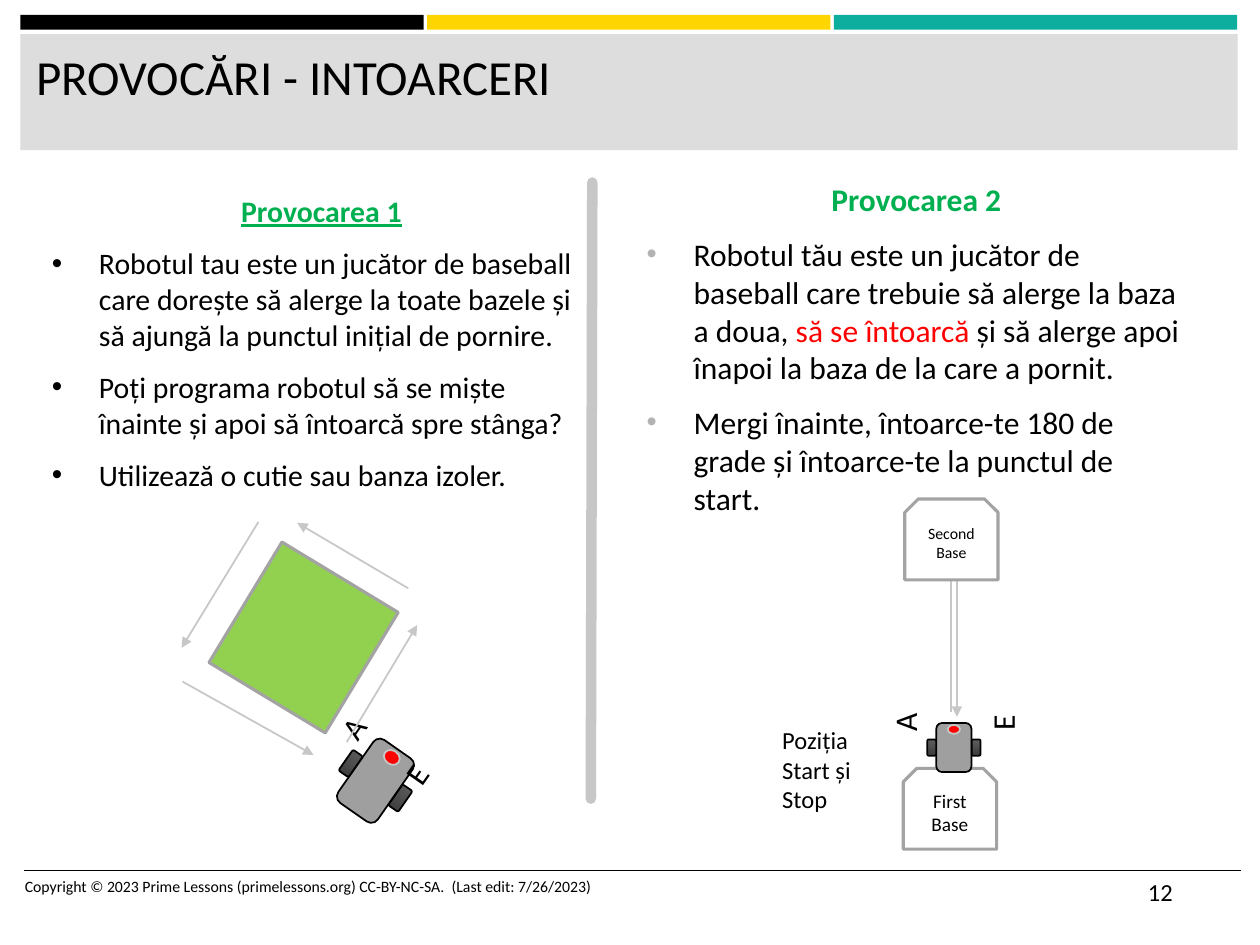
from dataclasses import dataclass
from math import cos, radians, sin
from typing import NamedTuple, Optional

from lxml.etree import SubElement
from pptx import Presentation
from pptx.dml.color import RGBColor
from pptx.enum.shapes import MSO_CONNECTOR, MSO_SHAPE as Preset
from pptx.enum.text import MSO_ANCHOR as Anchor, MSO_AUTO_SIZE as AutoSize, PP_ALIGN as Align
from pptx.oxml.ns import qn
from pptx.util import Cm, Pt


@dataclass(frozen=True)
class Theme:
    font: str = "Calibri"
    black: str = "000000"
    white: str = "FFFFFF"
    yellow: str = "FFD500"
    teal: str = "0EAE9F"
    band: str = "DDDDDD"
    heading: str = "00B050"
    red: str = "FF0000"
    field: str = "92D050"
    border: str = "A3A3A3"
    robot: str = "9F9F9F"
    wheel_top: str = "5F5F5F"
    wheel_bottom: str = "414141"
    arrow: str = "C7C7C7"
    pale_bullet: str = "B2B2B2"
    title_size: float = 28
    label_size: float = 14
    letter_size: float = 18
    footer_size: float = 9


THEME = Theme()


class Box(NamedTuple):
    """Left, top, width and height in centimetres."""
    left: float
    top: float
    width: float
    height: float


class Run(NamedTuple):
    text: str
    color: str = THEME.black


@dataclass(frozen=True)
class Challenge:
    box: Box
    heading: str
    size: float
    underline: bool
    items: list[list[Run]]
    bullet_color: str
    bullet_percent: int


class Letter(NamedTuple):
    text: str
    x: float
    y: float
    width: float


@dataclass(frozen=True)
class Robot:
    x: float
    y: float
    width: float
    height: float
    angle: float
    letter_angle: float
    letters: list[Letter]


class Arrow(NamedTuple):
    x1: float
    y1: float
    x2: float
    y2: float


CHALLENGES = [
    Challenge(Box(0.79, 3.76, 11.38, 6.05), "Provocarea 1", 17, True, [
        [Run("Robotul tau este un jucător de baseball care dorește să alerge la toate bazele "
             "și să ajungă la punctul inițial de pornire.")],
        [Run("Poți programa robotul să se miște înainte și apoi să întoarcă spre stânga?")],
        [Run("Utilizează o cutie sau banza izoler.")],
    ], THEME.black, 100),
    Challenge(Box(12.78, 3.51, 11.38, 12.14), "Provocarea 2", 18, False, [
        [Run("Robotul tău este un jucător de baseball care trebuie să alerge la baza a doua, "),
         Run("să se întoarcă ", THEME.red),
         Run("și să alerge apoi înapoi la baza de la care a pornit.")],
        [Run("Mergi înainte, întoarce-te 180 de grade și întoarce-te la punctul de start.")],
    ], THEME.pale_bullet, 92),
]
FIELD_ROBOT = Robot(7.57, 15.74, 0.97, 1.55, 34.9, 304.9,
                    [Letter("A", 7.05, 14.76, 0.64), Letter("E", 8.34, 15.67, 0.64)])
BASE_ROBOT = Robot(19.23, 15.07, 0.71, 0.99, 0, 270,
                   [Letter("A", 18.24, 14.71, 0.41), Letter("E", 20.21, 14.63, 0.18)])
FIELD_ARROWS = [Arrow(5.21, 10.52, 3.66, 13.06), Arrow(8.23, 11.86, 5.99, 10.54),
                Arrow(6.99, 14.96, 8.41, 12.6), Arrow(3.68, 13.74, 6.32, 15.22)]
BASE_ARROWS = [Arrow(19.17, 14.35, 19.17, 11.4), Arrow(19.29, 11.68, 19.29, 14.45)]


def rgb(color: str) -> RGBColor:
    return RGBColor.from_string(color)


def centered(x: float, y: float, width: float, height: float) -> Box:
    return Box(x - width / 2, y - height / 2, width, height)


def place(shape, box: Box) -> None:
    shape.left, shape.top, shape.width, shape.height = map(Cm, box)


def add_run(paragraph, text: str, size: float, color: str = THEME.black, bold: bool = False):
    run = paragraph.add_run()
    run.text = text
    font = run.font
    font.name, font.size, font.bold = THEME.font, Pt(size), bold
    font.color.rgb = rgb(color)
    return run


def add_shape(slide, preset, box: Box, fill: Optional[str], line: Optional[str] = None,
              weight: float = 1, angle: float = 0):
    shape = slide.shapes.add_shape(preset, *map(Cm, box))
    shape.shadow.inherit = False
    shape.rotation = angle
    if fill:
        shape.fill.solid()
        shape.fill.fore_color.rgb = rgb(fill)
    if line:
        shape.line.color.rgb = rgb(line)
        shape.line.width = Pt(weight)
    else:
        shape.line.fill.background()
    return shape


def add_line(slide, ends: Arrow, color: str, weight: float = 1, arrowhead: bool = False,
             cap: str = "flat") -> None:
    connector = slide.shapes.add_connector(MSO_CONNECTOR.STRAIGHT, *map(Cm, ends))
    connector.line.color.rgb = rgb(color)
    connector.line.width = Pt(weight)
    line = connector.line._get_or_add_ln()
    line.set("cap", cap)
    if arrowhead:
        SubElement(line, qn("a:tailEnd"), type="triangle")
    SubElement(connector.element.spPr, qn("a:effectLst"))


def add_label(slide, box: Box, text: str, size: float, angle: float = 0) -> None:
    label = slide.shapes.add_textbox(*map(Cm, box))
    label.rotation = angle
    label.text_frame.word_wrap = True
    add_run(label.text_frame.paragraphs[0], text, size)


def set_bullet(paragraph, challenge: Challenge) -> None:
    properties = paragraph._p.get_or_add_pPr()
    properties.set("marL", str(Cm(0.95)))
    properties.set("indent", str(-Cm(0.95)))
    color = SubElement(properties, qn("a:buClr"))
    SubElement(color, qn("a:srgbClr"), val=challenge.bullet_color)
    SubElement(properties, qn("a:buSzPct"), val=str(challenge.bullet_percent * 1000))
    SubElement(properties, qn("a:buFont"), typeface="Arial")
    SubElement(properties, qn("a:buChar"), char="•")


def fill_challenge(body, challenge: Challenge) -> None:
    place(body, challenge.box)
    frame = body.text_frame
    frame.auto_size = AutoSize.NONE
    heading = frame.paragraphs[0]
    properties = heading._p.get_or_add_pPr()
    properties.set("marL", "0")
    properties.set("indent", "0")
    SubElement(properties, qn("a:buNone"))
    heading.alignment = Align.CENTER
    heading.space_before, heading.space_after = Pt(0), Pt(6)
    run = add_run(heading, challenge.heading, challenge.size, THEME.heading, bold=True)
    run.font.underline = challenge.underline
    for item in challenge.items:
        paragraph = frame.add_paragraph()
        set_bullet(paragraph, challenge)
        paragraph.space_before, paragraph.space_after = Pt(challenge.size * 0.2), Pt(6)
        for part in item:
            add_run(paragraph, part.text, challenge.size, part.color)


def add_robot(slide, robot: Robot) -> None:
    """Draw body, wheels and lamp, all sized and turned with the body."""
    turn = radians(robot.angle)

    def part(preset, across: float, along: float, width: float, height: float, fill, line):
        dx, dy = across * robot.width, along * robot.height
        box = centered(robot.x + dx * cos(turn) - dy * sin(turn),
                       robot.y + dx * sin(turn) + dy * cos(turn),
                       width * robot.width, height * robot.height)
        return add_shape(slide, preset, box, fill, line, angle=robot.angle)

    part(Preset.ROUNDED_RECTANGLE, 0, 0, 1, 1, THEME.robot, THEME.black)
    for side in (0.63, -0.63):
        wheel = part(Preset.ROUNDED_RECTANGLE, side, 0, 0.25, 0.33, None, THEME.black)
        wheel.fill.gradient()
        wheel.fill.gradient_angle = 270
        shades = ((0, THEME.wheel_top), (0.84, THEME.wheel_bottom))
        for stop, (position, color) in zip(wheel.fill.gradient_stops, shades):
            stop.position, stop.color.rgb = position, rgb(color)
    part(Preset.OVAL, 0, -0.37, 0.35, 0.18, THEME.red, THEME.arrow)
    for letter in robot.letters:
        add_label(slide, centered(letter.x, letter.y, letter.width, 1.02), letter.text,
                  THEME.letter_size, robot.letter_angle)


def add_base(slide, box: Box, text: str, size: float) -> None:
    base = add_shape(slide, Preset.SNIP_2_SAME_RECTANGLE, box, THEME.white, THEME.border, 1.75)
    base.text_frame.vertical_anchor = Anchor.MIDDLE
    paragraph = base.text_frame.paragraphs[0]
    paragraph.alignment = Align.CENTER
    add_run(paragraph, text, size)


def add_frame(slide) -> None:
    """Draw the header bars and the footer, with the title above the band."""
    for index, color in enumerate((THEME.black, THEME.yellow, THEME.teal)):
        add_shape(slide, Preset.RECTANGLE, Box(0.41 + 8.2 * index, 0.3, 8.13, 0.3), color)
    add_shape(slide, Preset.RECTANGLE, Box(0.41, 0.69, 24.54, 2.34), THEME.band)
    add_line(slide, Arrow(0.48, 17.55, 25.02, 17.55), THEME.black)
    title = slide.shapes.title
    slide.shapes.element.append(title.element)
    place(title, Box(0.48, 0.81, 24.31, 2.08))
    title.text_frame.vertical_anchor = Anchor.TOP
    title.text_frame.auto_size = AutoSize.NONE
    paragraph = title.text_frame.paragraphs[0]
    paragraph.alignment = Align.LEFT
    add_run(paragraph, "PROVOCĂRI - INTOARCERI", THEME.title_size)
    add_label(slide, Box(0.25, 17.55, 13.54, 1.02),
              "Copyright © 2023 Prime Lessons (primelessons.org) CC-BY-NC-SA.  (Last edit: 7/26/2023)",
              THEME.footer_size)
    add_label(slide, Box(22.89, 17.55, 2.13, 1.02), "12", THEME.label_size)


def main() -> None:
    presentation = Presentation()
    presentation.slide_width, presentation.slide_height = Cm(25.4), Cm(19.05)
    slide = presentation.slides.add_slide(presentation.slide_layouts.get_by_name("Two Content"))
    add_frame(slide)
    for index, challenge in enumerate(CHALLENGES, start=1):
        fill_challenge(slide.placeholders[index], challenge)
    add_line(slide, Arrow(11.91, 16.1, 11.94, 3.68), THEME.arrow, 6, cap="rnd")

    add_shape(slide, Preset.RECTANGLE, Box(4.7, 11.48, 2.84, 2.74), THEME.field, THEME.border,
              1.75, angle=301.2)
    add_robot(slide, FIELD_ROBOT)
    for arrow in FIELD_ARROWS + BASE_ARROWS:
        add_line(slide, arrow, THEME.arrow, arrowhead=True)

    add_label(slide, Box(15.52, 14.5, 2.64, 2.06), "Poziția Start și Stop", THEME.label_size)
    add_base(slide, Box(18.21, 15.49, 1.88, 1.63), "First Base", 11)
    add_robot(slide, BASE_ROBOT)
    add_base(slide, Box(18.24, 10.06, 1.88, 1.63), "Second Base", 9)
    presentation.save("out.pptx")


if __name__ == "__main__":
    main()
